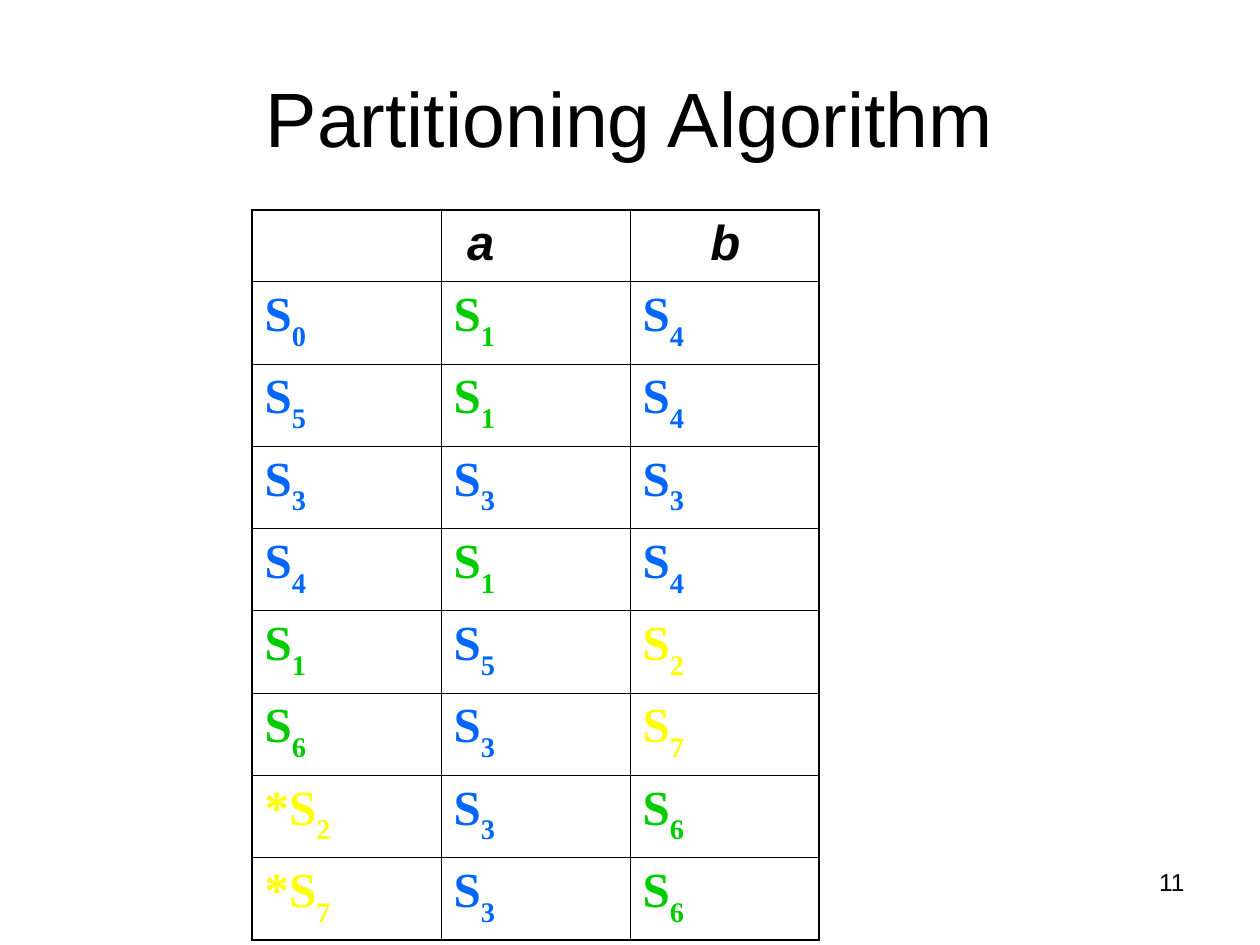
from lxml import etree
from pptx import Presentation
from pptx.dml.color import RGBColor
from pptx.enum.text import MSO_ANCHOR, PP_ALIGN
from pptx.oxml.ns import qn
from pptx.util import Pt

CENTER, RIGHT = PP_ALIGN.CENTER, PP_ALIGN.RIGHT
TOP, MIDDLE = MSO_ANCHOR.TOP, MSO_ANCHOR.MIDDLE
BLACK, BLUE, GREEN, YELLOW = "000000", "0066FF", "00CC00", "FFFF00"
SANS, SERIF = "Arial", "Times New Roman"

# States of one partition share a colour
PARTITIONS = {BLUE: "0345", GREEN: "16", YELLOW: "27"}
STATE_COLORS = {state: color for color, states in PARTITIONS.items() for state in states}

# Input symbols with the left margin of their header cells
HEADERS = [("", 7.2), ("a", 15), ("b", 46)]
TRANSITIONS = [
    ("S0", "S1", "S4"),
    ("S5", "S1", "S4"),
    ("S3", "S3", "S3"),
    ("S4", "S1", "S4"),
    ("S1", "S5", "S2"),
    ("S6", "S3", "S7"),
    ("*S2", "S3", "S6"),
    ("*S7", "S3", "S6"),
]
COLUMN_WIDTH, HEADER_HEIGHT, STATE_HEIGHT = 108, 41, 47
OUTER_LINE, INNER_LINE = 1.08, 0.45


def rgb(hex_color):
    return RGBColor.from_string(hex_color)


def style_font(font, size, name, color, bold=False, italic=False):
    font.size, font.name = Pt(size), name
    font.bold, font.italic = bold, italic
    font.color.rgb = rgb(color)


def add_label(slide, text, left, top, width, height, size, align, anchor):
    box = slide.shapes.add_textbox(Pt(left), Pt(top), Pt(width), Pt(height))
    frame = box.text_frame
    frame.word_wrap = True
    frame.vertical_anchor = anchor
    frame.text = text
    paragraph = frame.paragraphs[0]
    paragraph.alignment = align
    style_font(paragraph.runs[0].font, size, SANS, BLACK)


def set_borders(cell, widths):
    properties = cell._tc.get_or_add_tcPr()
    for side, width in zip("LRTB", widths):
        line = etree.SubElement(properties, qn(f"a:ln{side}"), w=str(Pt(width)))
        fill = etree.SubElement(line, qn("a:solidFill"))
        etree.SubElement(fill, qn("a:srgbClr"), val=BLACK)


def write_header(cell, symbol, margin):
    cell.margin_left = Pt(margin)
    cell.text_frame.text = symbol
    style_font(cell.text_frame.paragraphs[0].font, 28, SANS, BLACK)
    for run in cell.text_frame.paragraphs[0].runs:
        style_font(run.font, 28, SANS, BLACK, bold=True, italic=True)


def write_state(cell, state):
    name, number = state[:-1], state[-1]
    paragraph = cell.text_frame.paragraphs[0]
    for text in (name, number):
        run = paragraph.add_run()
        run.text = text
        style_font(run.font, 28, SERIF, STATE_COLORS[number], bold=True)
    run.font._element.set("baseline", "-30000")  # subscript


def add_transition_table(slide, left, top):
    row_count, column_count = len(TRANSITIONS) + 1, len(HEADERS)
    height = HEADER_HEIGHT + STATE_HEIGHT * len(TRANSITIONS)
    table = slide.shapes.add_table(
        row_count, column_count, Pt(left), Pt(top),
        Pt(COLUMN_WIDTH * column_count), Pt(height)).table
    table.first_row = table.horz_banding = False
    for column in table.columns:
        column.width = Pt(COLUMN_WIDTH)
    for r, row in enumerate(table.rows):
        row.height = Pt(STATE_HEIGHT if r else HEADER_HEIGHT)
        for c, cell in enumerate(row.cells):
            on_edge = (c == 0, c == column_count - 1, r == 0, r == row_count - 1)
            set_borders(cell, [OUTER_LINE if edge else INNER_LINE for edge in on_edge])
            cell.fill.background()
            if r == 0:
                write_header(cell, *HEADERS[c])
            else:
                write_state(cell, TRANSITIONS[r - 1][c])


def main():
    presentation = Presentation()
    presentation.slide_width, presentation.slide_height = Pt(720), Pt(540)
    slide = presentation.slides.add_slide(presentation.slide_layouts[6])

    # Page number and title
    add_label(slide, "11", 516, 492, 168, 37.5, 14, RIGHT, TOP)
    add_label(slide, "Partitioning Algorithm", 36, 21.6, 648, 90, 44, CENTER, MIDDLE)

    # Transitions of the partitioned states
    add_transition_table(slide, 144, 120)

    presentation.save("out.pptx")


if __name__ == "__main__":
    main()
